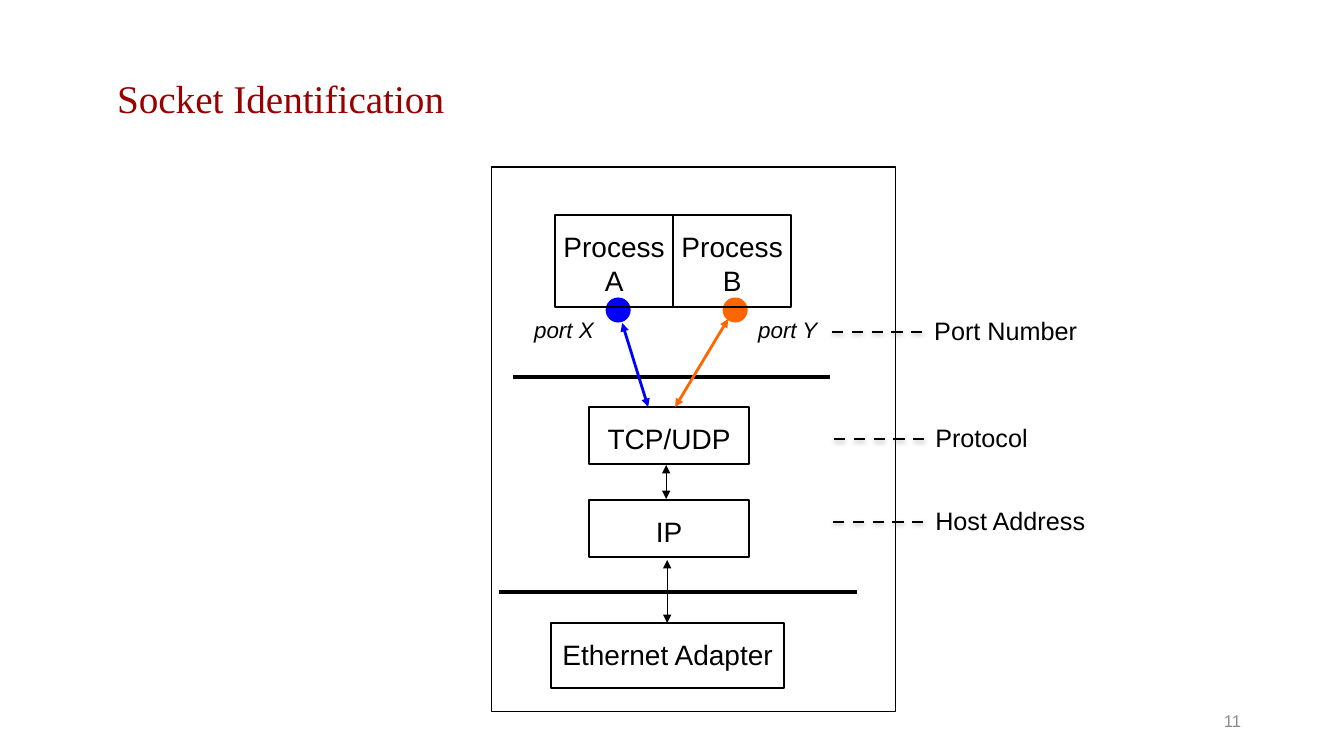
from lxml import etree
from pptx import Presentation, util as u
from pptx.dml.color import RGBColor
from pptx.enum import dml, shapes, text
from pptx.oxml import parse_xml
from pptx.oxml.ns import nsdecls, qn

PIXEL = 914400 / 100.8
COLORS = {"black": "000000", "title": "990000", "port_x": "0000FF",
          "port_y": "FF6600", "number": "8C8C8C"}

deck = Presentation()
deck.slide_width, deck.slide_height = u.Inches(13.33), u.Inches(7.5)
slide = deck.slides.add_slide(deck.slide_layouts[5])


def px(*lengths):
    return [u.Emu(round(length * PIXEL)) for length in lengths]


def write(shape, words, size, color="black", font="Arial",
          align=text.PP_ALIGN.LEFT, anchor=text.MSO_ANCHOR.TOP, insets=(10, 5), wrap=False):
    frame = shape.text_frame
    frame.text = words
    frame.word_wrap = wrap
    frame.vertical_anchor = anchor
    frame.margin_left = frame.margin_right = px(insets[0])[0]
    frame.margin_top = frame.margin_bottom = px(insets[1])[0]
    for para in frame.paragraphs:
        para.alignment = align
        para.font.name, para.font.size = font, u.Pt(size)
        para.font.color.rgb = RGBColor.from_string(COLORS[color])
    return frame


# Title
title = slide.shapes.title
title.left, title.top, title.width, title.height = px(107, 47, 964, 101)
write(title, "Socket Identification", 28, "title", "Times New Roman",
      anchor=text.MSO_ANCHOR.MIDDLE, wrap=True)

# Port dots, behind the process boxes
for color, left in [("port_x", 606), ("port_y", 723)]:
    dot = slide.shapes.add_shape(shapes.MSO_SHAPE.OVAL, *px(left, 298, 24, 24))
    dot.shadow.inherit = False
    dot.fill.solid()
    dot.fill.fore_color.rgb = dot.line.color.rgb = RGBColor.from_string(COLORS[color])
    dot.line.width = u.Pt(0.75)

# Host frame and protocol stack
for words, bounds, weight in [
    ("", (491, 167, 404, 545), 0.75),
    ("Process\nA", (555, 215, 118, 92), 1),
    ("Process\nB", (673, 215, 118, 92), 1),
    ("TCP/UDP", (589, 407, 160, 57), 1),
    ("IP", (589, 500, 160, 57), 1),
    ("Ethernet Adapter", (551, 623, 233, 65), 1),
]:
    box = slide.shapes.add_shape(shapes.MSO_SHAPE.RECTANGLE, *px(*bounds))
    box.shadow.inherit = False
    box.fill.background()
    box.line.color.rgb = RGBColor.from_string(COLORS["black"])
    box.line.width = u.Pt(weight)
    if words:
        write(box, words, 20, align=text.PP_ALIGN.CENTER, insets=(10, 15))

# Layer dividers, arrows between layers, and dashed leaders
lines = [
    ("divider", (513, 377, 830, 377), "black", 3),
    ("divider", (499, 592, 857, 592), "black", 3),
    ("arrow", (666, 465, 666, 499), "black", 0.75),
    ("arrow", (667, 560, 667, 623), "black", 0.75),
    ("arrow", (622, 323, 648, 407), "port_x", 2),
    ("arrow", (728, 319, 675, 407), "port_y", 2),
    ("leader", (832, 332, 924, 332), "black", 2),
    ("leader", (834, 439, 926, 439), "black", 2),
    ("leader", (833, 522, 925, 522), "black", 2),
]
for role, ends, color, weight in lines:
    line = slide.shapes.add_connector(shapes.MSO_CONNECTOR.STRAIGHT, *px(*ends))
    line.line.color.rgb = RGBColor.from_string(COLORS[color])
    line.line.width = u.Pt(weight)
    properties = line.line._get_or_add_ln()
    if role == "arrow":
        for end in ("a:headEnd", "a:tailEnd"):
            etree.SubElement(properties, qn(end), type="triangle")
    shadow = ""
    if role == "leader":
        line.line.dash_style = dml.MSO_LINE.DASH
        shadow = ('<a:outerShdw blurRad="40000" dist="20000" dir="5400000" rotWithShape="0">'
                  '<a:srgbClr val="808080"><a:alpha val="38000"/></a:srgbClr></a:outerShdw>')
    line._element.spPr.append(
        parse_xml(f'<a:effectLst {nsdecls("a")}>{shadow}</a:effectLst>'))

# Port names
for words, left in [("port X", 523), ("port Y", 747)]:
    box = slide.shapes.add_textbox(*px(left, 310, 83, 38))
    for para in write(box, words, 16, insets=(11, 6)).paragraphs:
        para.font.italic = True

# Labels of the identifying parts
for words, left, top, width in [("Port Number", 924, 310, 164),
                                ("Protocol", 925, 417, 114),
                                ("Host Address", 925, 500, 171)]:
    write(slide.shapes.add_textbox(*px(left, top, width, 40)), words, 18)

# Slide number
write(slide.shapes.add_textbox(*px(949, 701, 302, 40)), "11", 12, "number",
      align=text.PP_ALIGN.RIGHT, anchor=text.MSO_ANCHOR.MIDDLE, wrap=True)

deck.save("out.pptx")
